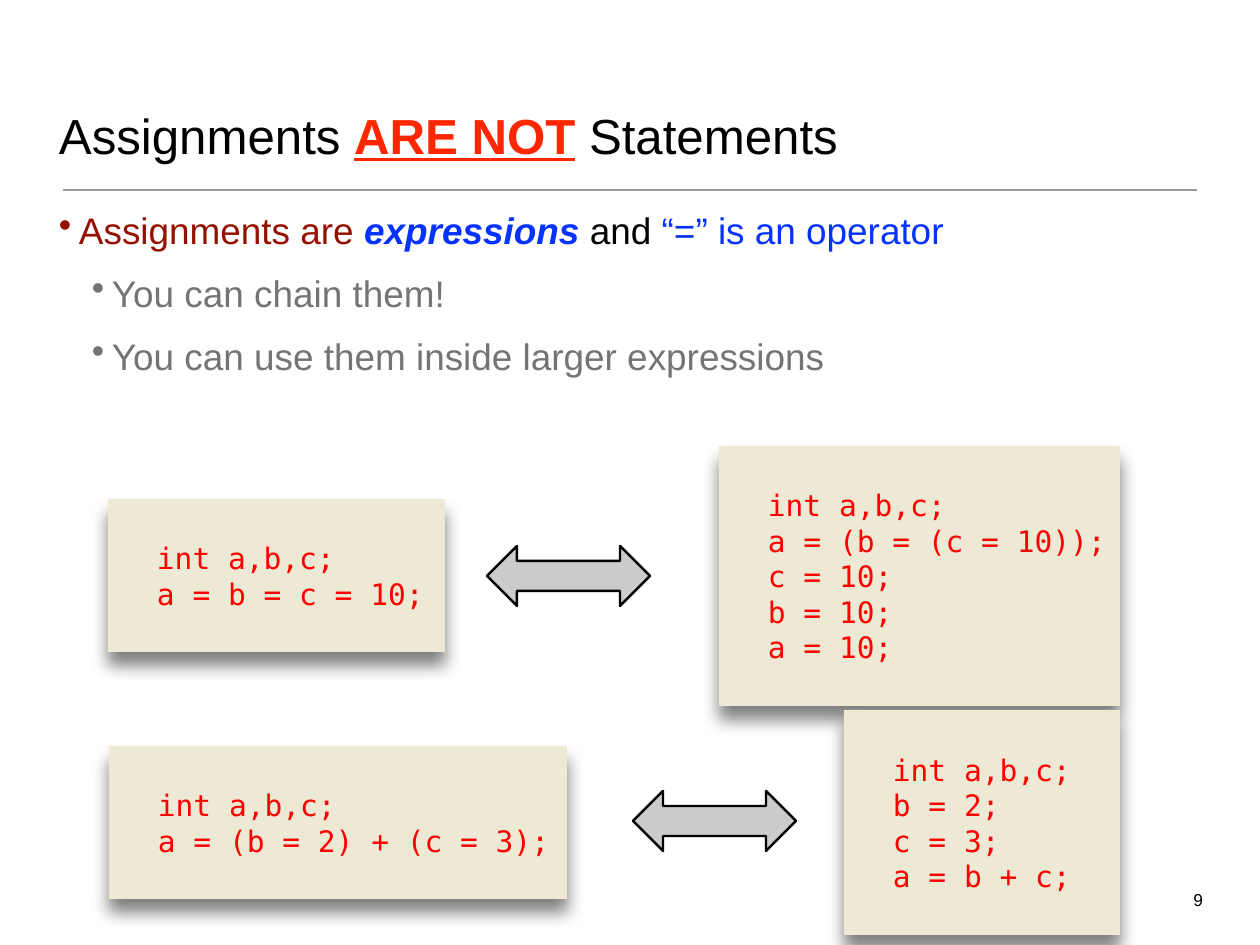
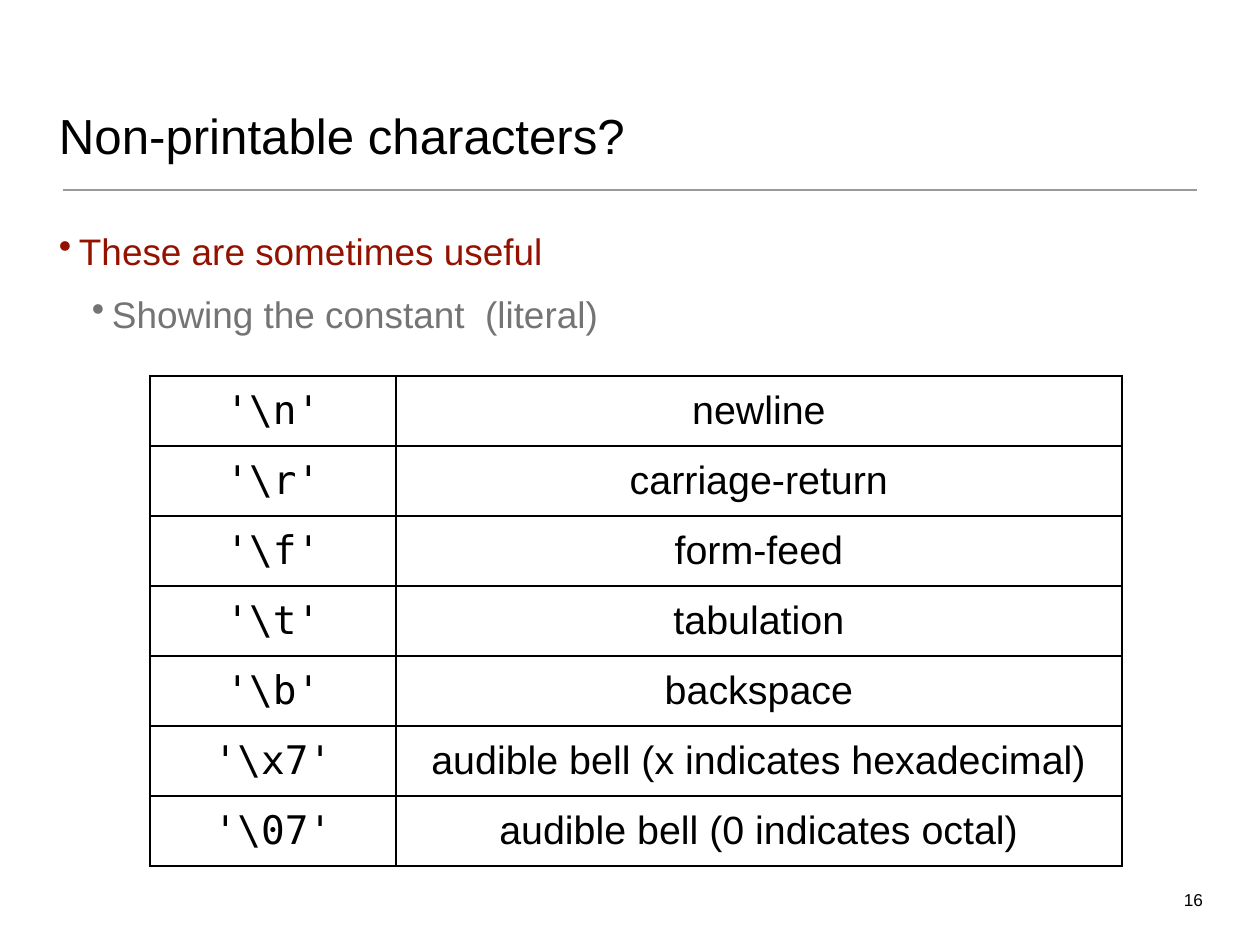
from lxml import etree
from pptx import Presentation
from pptx.dml.color import RGBColor
from pptx.enum import shapes, text
from pptx.oxml import parse_xml
from pptx.oxml.ns import nsdecls, qn
from pptx.util import Pt

PX = 914400 / 88.6
COLORS = {"ink": "000000", "alert": "FF2600", "topic": "941100", "accent": "0433FF",
          "detail": "747474", "rule": "9A9A9A", "panel": "EEE9D4", "code": "FF0000",
          "arrow": "CBCBCB"}
SANS, MONO = "Arial", "DejaVu Sans Mono"
RGB = {name: RGBColor.from_string(value) for name, value in COLORS.items()}


def px(*lengths):
    return [round(n * PX) for n in lengths]


def write(tf, paragraphs, size, font=SANS, inset=4, **frame):
    margins = dict.fromkeys(["margin_left", "margin_right", "margin_top", "margin_bottom"],
                            px(inset)[0])
    for name, value in {"word_wrap": True, **margins, **frame}.items():
        setattr(tf, name, value)
    for i, runs in enumerate(paragraphs):
        p = tf.add_paragraph() if i else tf.paragraphs[0]
        for content, color, *styles in runs:
            r = p.add_run()
            r.text = content
            r.font.color.rgb = RGB[color]
            for name, value in {"size": Pt(size), "name": font,
                                **dict.fromkeys(styles, True)}.items():
                setattr(r.font, name, value)
    return tf.paragraphs


prs = Presentation()
prs.slide_width, prs.slide_height = px(1260, 945)

pages = [
    {"number": "9", "body_top": 204, "body_height": 136,
     "title": [("Assignments ", "ink"), ("ARE NOT", "alert", "bold", "underline"),
               (" Statements", "ink")],
     "body": [[("Assignments are ", "topic"), ("expressions ", "accent", "bold", "italic"),
               ("and", "ink"), (" “=” is an operator", "accent")],
              [("You can chain them!", "detail")],
              [("You can use them inside larger expressions", "detail")]]},
    {"number": "16", "body_top": 225, "body_height": 636,
     "title": [("Non-printable characters?", "ink")],
     "body": [[("These are sometimes useful", "topic")],
              [("Showing the constant  (literal)", "detail")]]},
]

for page in pages:
    s = prs.slides.add_slide(prs.slide_layouts[6])
    title = s.shapes.add_textbox(*px(55, 32, 1149, 136))
    write(title.text_frame, [page["title"]], 40, vertical_anchor=text.MSO_ANCHOR.BOTTOM)

    rule = s.shapes.add_connector(shapes.MSO_CONNECTOR.STRAIGHT, *px(63, 190, 1197, 190))
    rule.line.color.rgb = RGB["rule"]
    rule.line.width = Pt(1)
    etree.SubElement(rule.element.spPr, qn("a:effectLst"))

    body = s.shapes.add_textbox(*px(55, page["body_top"], 1149, page["body_height"]))
    for i, p in enumerate(write(body.text_frame, page["body"], 30)):
        p.level = min(i, 1)
        p.space_before = Pt(15)
        indent, hanging = px(53 if i else 20, -20)
        pPr = p._p.get_or_add_pPr()
        pPr.set("marL", str(indent))
        pPr.set("indent", str(hanging))
        etree.SubElement(pPr, qn("a:buChar"), char="•")

    number = s.shapes.add_textbox(*px(1179, 885, 28, 27))
    p = write(number.text_frame, [[(page["number"], "ink")]], 14, word_wrap=False)[0]
    p.alignment = text.PP_ALIGN.RIGHT

assignments, characters = prs.slides

code_panels = [
    (108, 499, 337, 153, ["int a,b,c;", "a = b = c = 10;"]),
    (719, 446, 401, 260, ["int a,b,c;", "a = (b = (c = 10));", "c = 10;", "b = 10;", "a = 10;"]),
    (109, 746, 458, 153, ["int a,b,c;", "a = (b = 2) + (c = 3);"]),
    (844, 710, 276, 225, ["int a,b,c;", "b = 2;", "c = 3;", "a = b + c;"]),
]
for *box, lines in code_panels:
    sp = assignments.shapes.add_shape(shapes.MSO_SHAPE.RECTANGLE, *px(*box))
    sp.fill.solid()
    sp.fill.fore_color.rgb = RGB["panel"]
    sp.line.fill.background()
    sp.shadow.inherit = False
    sp.element.spPr.find(qn("a:effectLst")).append(parse_xml(
        f'<a:outerShdw {nsdecls("a")} blurRad="{Pt(14)}" dist="{Pt(11)}" dir="5400000" '
        f'rotWithShape="0"><a:srgbClr val="{COLORS["ink"]}"><a:alpha val="50000"/>'
        '</a:srgbClr></a:outerShdw>'))
    for p in write(sp.text_frame, [[(line, "code")] for line in lines], 24, MONO, 5,
                   vertical_anchor=text.MSO_ANCHOR.MIDDLE):
        p.alignment = text.PP_ALIGN.LEFT
        p._p.get_or_add_pPr().set("marL", str(px(44)[0]))

for left, top in [(487, 546), (633, 791)]:
    sp = assignments.shapes.add_shape(shapes.MSO_SHAPE.LEFT_RIGHT_ARROW, *px(left, top, 163, 60))
    sp.shadow.inherit = False
    sp.fill.solid()
    sp.fill.fore_color.rgb = RGB["arrow"]
    sp.line.color.rgb = RGB["ink"]
    sp.line.width = Pt(2)

escapes = [
    (r"'\n'", "newline"),
    (r"'\r'", "carriage-return"),
    (r"'\f'", "form-feed"),
    (r"'\t'", "tabulation"),
    (r"'\b'", "backspace"),
    (r"'\x7'", "audible bell (x indicates hexadecimal)"),
    (r"'\07'", "audible bell (0 indicates octal)"),
]
table = characters.shapes.add_table(len(escapes), 2, *px(150, 376, 972, 490)).table
table.first_row = table.horz_banding = False
for column, width in zip(table.columns, px(246, 726)):
    column.width = width
for row, entry in zip(table.rows, escapes):
    row.height = px(70)[0]
    for cell, content, font in zip(row.cells, entry, (MONO, SANS)):
        p = write(cell.text_frame, [[(content, "ink")]], 32, font)[0]
        p.alignment = text.PP_ALIGN.CENTER
        cell.vertical_anchor = text.MSO_ANCHOR.MIDDLE
        tcPr = cell._tc.get_or_add_tcPr()
        for side in "LRTB":
            tcPr.append(parse_xml(
                f'<a:ln{side} {nsdecls("a")} w="{Pt(2)}"><a:solidFill>'
                f'<a:srgbClr val="{COLORS["ink"]}"/></a:solidFill></a:ln{side}>'))
        cell.fill.background()

prs.save("out.pptx")
